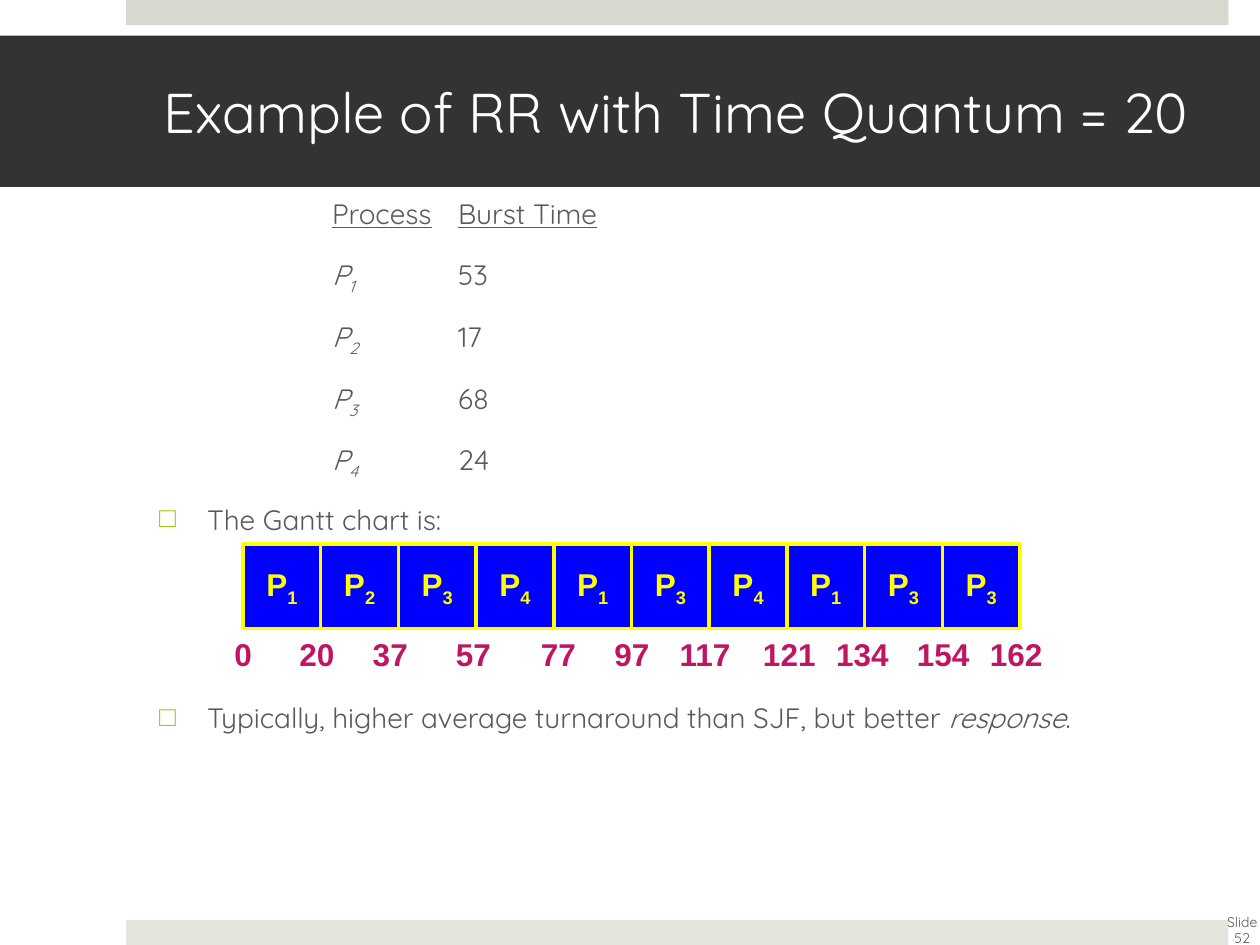
from dataclasses import dataclass

from lxml.etree import SubElement
from pptx import Presentation
from pptx.dml.color import RGBColor as Color
from pptx.enum.shapes import MSO_SHAPE as Shape
from pptx.enum.text import MSO_ANCHOR as Anchor, PP_ALIGN as Align
from pptx.oxml.ns import qn
from pptx.util import Pt


@dataclass(frozen=True)
class Theme:
    top_bar: str = "D6D9CD"
    bottom_bar: str = "E4E6DE"
    banner: str = "333333"
    title: str = "FFFFFF"
    body: str = "595959"
    bullet: str = "A2C816"
    cell: str = "0000FF"
    accent: str = "FFFF00"
    time: str = "BE1662"
    body_font: str = "Quicksand"
    chart_font: str = "Arial"
    title_size: int = 32
    body_size: int = 16
    chart_size: int = 18
    number_size: int = 8


THEME = Theme()
TITLE = "Example of RR with Time Quantum = 20"
SLIDE_NUMBER = "Slide 52"
HEADINGS = ("Process", "Burst Time")
BURSTS = [("1", "53"), ("2", "17"), ("3", "68"), ("4", "24")]
GANTT_INTRO = "The Gantt chart is:"
REMARK = ("Typically, higher average turnaround than SJF, but better ", "response", ".")
SCHEDULE = "1234134133"
TIMES = [
    ("0", 139), ("20", 181), ("37", 223), ("57", 270.5), ("77", 319), ("97", 361),
    ("117", 402.8), ("121", 451), ("134", 492.8), ("154", 538.9), ("162", 580.7),
]

COLUMN_TABS = (98.9, 170.9)
HANGING = 27.4
LINE_SPACING = 0.7
PARA_GAP, CHART_GAP = 20, 100
CELL_LEFT, CELL_TOP, CELL_WIDTH, CELL_HEIGHT = 138.9, 311, 44.4, 48.2
TIME_TOP, TIME_WIDTH, TIME_HEIGHT = 359.3, 54, 28.8


def add_block(shapes, box, fill, line=None):
    block = shapes.add_shape(Shape.RECTANGLE, *map(Pt, box))
    block.shadow.inherit = False
    block.fill.solid()
    block.fill.fore_color.rgb = Color.from_string(fill)
    if line:
        block.line.color.rgb = Color.from_string(line)
        block.line.width = Pt(2)
    else:
        block.line.fill.background()
    return block


def style(span, font, size, color, bold=False):
    span.font.name = font
    span.font.size = Pt(size)
    span.font.color.rgb = Color.from_string(color)
    span.font.bold = bold


def write(shape, text, align, *look, wrap=True):
    frame = shape.text_frame
    frame.text = text
    frame.word_wrap = wrap
    frame.vertical_anchor = Anchor.MIDDLE
    para = frame.paragraphs[0]
    para.alignment = align
    for span in para.runs:
        style(span, *look)
    return para


def add_span(para, text, italic=False, underline=False, subscript=False):
    span = para.add_run()
    span.text = text
    style(span, THEME.body_font, THEME.body_size, THEME.body)
    span.font.italic = italic
    span.font.underline = underline
    if subscript:
        lower(span)


def lower(span):
    span.font._element.set("baseline", "-25000")


def space(para, before=PARA_GAP):
    para.alignment = Align.LEFT
    para.line_spacing = LINE_SPACING
    para.space_before = Pt(before)
    return para


def add_tabs(para):
    tabs = SubElement(para._p.get_or_add_pPr(), qn("a:tabLst"))
    for position in COLUMN_TABS:
        SubElement(tabs, qn("a:tab"), pos=str(int(Pt(position))), algn="l")


def add_bullet(para):
    props = para._p.get_or_add_pPr()
    props.set("marL", str(int(Pt(HANGING))))
    props.set("indent", str(-int(Pt(HANGING))))
    SubElement(SubElement(props, qn("a:buClr")), qn("a:srgbClr"), val=THEME.bullet)
    SubElement(props, qn("a:buFont"), typeface=THEME.chart_font)
    SubElement(props, qn("a:buChar"), char="□")


def add_body(page):
    frame = page.shapes.add_textbox(Pt(83.8), Pt(114), Pt(553.7), Pt(324)).text_frame
    frame.word_wrap = True
    para = space(frame.paragraphs[0])
    add_tabs(para)
    for heading in HEADINGS:
        add_span(para, "\t")
        add_span(para, heading, underline=True)
    for process, burst in BURSTS:
        para = space(frame.add_paragraph())
        add_tabs(para)
        add_span(para, "\t")
        add_span(para, "P", italic=True)
        add_span(para, process, italic=True, subscript=True)
        add_span(para, "\t" + burst)
    para = space(frame.add_paragraph())
    add_bullet(para)
    add_span(para, GANTT_INTRO)
    para = space(frame.add_paragraph(), CHART_GAP)
    add_bullet(para)
    for text in REMARK:
        add_span(para, text, italic=text == "response")


def add_gantt(page):
    chart = page.shapes.add_group_shape().shapes
    for index, process in enumerate(SCHEDULE):
        box = (CELL_LEFT + index * CELL_WIDTH, CELL_TOP, CELL_WIDTH, CELL_HEIGHT)
        cell = add_block(chart, box, THEME.cell, THEME.accent)
        look = (THEME.chart_font, THEME.chart_size, THEME.accent, True)
        para = write(cell, "P", Align.CENTER, *look, wrap=False)
        span = para.add_run()
        span.text = process
        style(span, *look)
        lower(span)
    for time, centre in TIMES:
        box = (centre - TIME_WIDTH / 2, TIME_TOP, TIME_WIDTH, TIME_HEIGHT)
        label = chart.add_textbox(*map(Pt, box))
        write(label, time, Align.CENTER, THEME.chart_font, THEME.chart_size, THEME.time, True,
              wrap=False)


def main():
    """Build the round-robin scheduling slide."""
    deck = Presentation()
    deck.slide_width, deck.slide_height = Pt(720), Pt(540)
    page = deck.slides.add_slide(deck.slide_layouts[6])
    add_block(page.shapes, (72, 0, 630, 14.4), THEME.top_bar)
    add_block(page.shapes, (72, 525.6, 630, 14.4), THEME.bottom_bar)
    number = page.shapes.add_textbox(Pt(691.9), Pt(517), Pt(36), Pt(28.8))
    write(number, SLIDE_NUMBER, Align.CENTER, THEME.body_font, THEME.number_size, THEME.body)
    banner = add_block(page.shapes, (0, 20.4, 720, 86.4), THEME.banner)
    write(banner, TITLE, Align.LEFT, THEME.body_font, THEME.title_size, THEME.title)
    banner.text_frame.margin_left = Pt(93.6)
    banner.text_frame.margin_right = Pt(21.6)
    add_body(page)
    add_gantt(page)
    deck.save("out.pptx")


if __name__ == "__main__":
    main()
